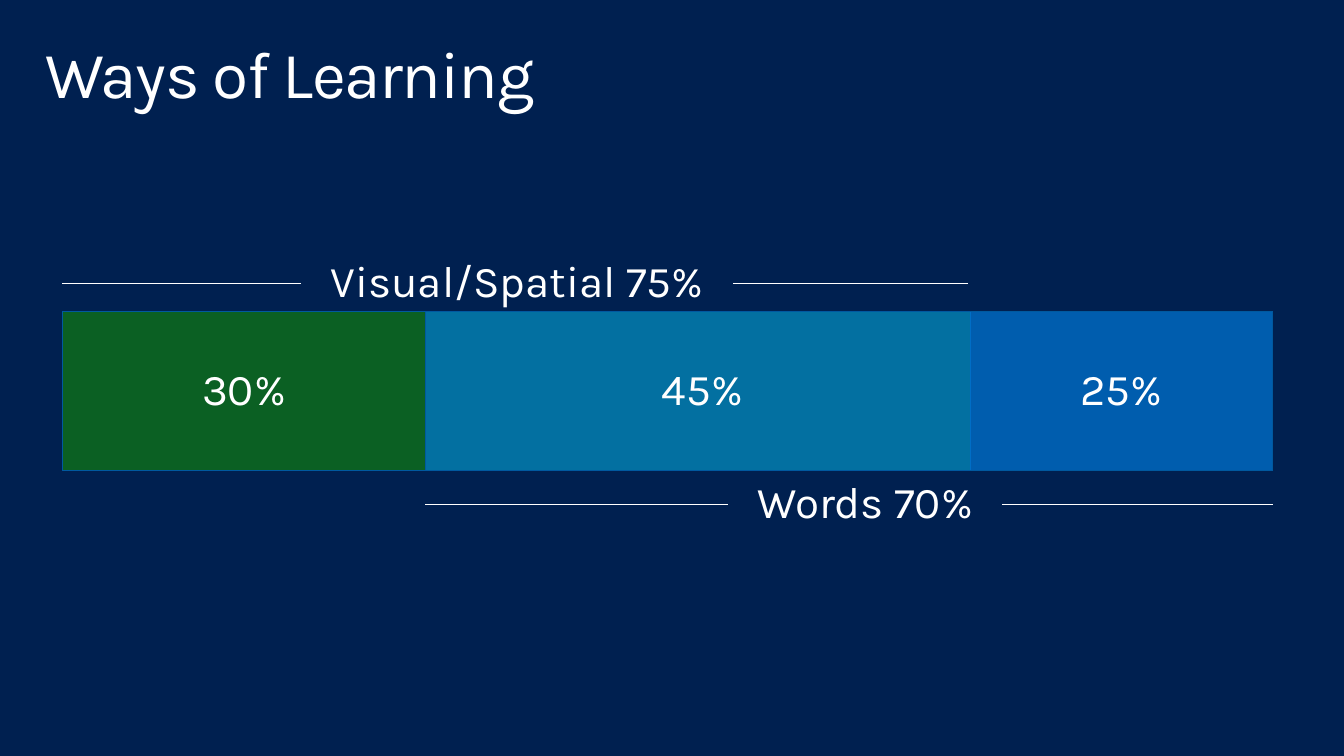
from dataclasses import dataclass

from lxml.etree import SubElement
from pptx import Presentation
from pptx.dml.color import RGBColor
from pptx.enum.shapes import MSO_CONNECTOR, MSO_SHAPE
from pptx.enum.text import MSO_ANCHOR, MSO_AUTO_SIZE, PP_ALIGN
from pptx.oxml.ns import qn
from pptx.util import Inches, Pt


@dataclass(frozen=True)
class Theme:
    font: str = "Karla"
    title_size: int = 48
    label_size: int = 32
    background: str = "002050"
    text: str = "FFFFFF"
    outline: str = "00599F"
    visual: str = "107C10"
    words: str = "0078D7"
    opacity: int = 70


THEME = Theme()
LABEL_H = 0.59


def rgb(value):
    return RGBColor.from_string(value)


def format_paragraph(p, text, size):
    p.text = text
    p.line_spacing = 0.9
    p.font.name = THEME.font
    p.font.size = Pt(size)
    p.font.color.rgb = rgb(THEME.text)


def add_title(s, text, x, y, w, h):
    sp = s.shapes.title
    sp.left, sp.top, sp.width, sp.height = map(Inches, (x, y, w, h))
    tf = sp.text_frame
    tf.auto_size = MSO_AUTO_SIZE.NONE
    tf.vertical_anchor = MSO_ANCHOR.TOP
    tf.margin_left = tf.margin_right = Inches(0.16)
    tf.margin_top = tf.margin_bottom = Inches(0.1)
    p = tf.paragraphs[0]
    format_paragraph(p, text, THEME.title_size)
    p.alignment = PP_ALIGN.LEFT
    p._p.get_or_add_pPr().get_or_add_defRPr().set("spc", "-100")


def add_label(s, text, x, y, w):
    sp = s.shapes.add_textbox(Inches(x), Inches(y), Inches(w), Inches(LABEL_H))
    tf = sp.text_frame
    tf.word_wrap = False
    tf.vertical_anchor = MSO_ANCHOR.MIDDLE
    p = tf.paragraphs[0]
    format_paragraph(p, text, THEME.label_size)
    p.alignment = PP_ALIGN.CENTER
    return sp


def add_bar(s, x, y, w, h, color=None):
    sp = s.shapes.add_shape(MSO_SHAPE.RECTANGLE, Inches(x), Inches(y), Inches(w), Inches(h))
    sp.shadow.inherit = False
    sp.line.color.rgb = rgb(THEME.outline)
    sp.line.width = Pt(0.85)
    if color is None:
        sp.fill.background()
        return
    sp.fill.solid()
    sp.fill.fore_color.rgb = rgb(color)
    clr = sp._element.spPr.find(qn("a:solidFill"))[0]
    SubElement(clr, qn("a:alpha"), val=str(THEME.opacity * 1000))


def add_span(s, text, x, end, y, label_x, label_w):
    """Label with a line running from each side to the ends of its span."""
    label = add_label(s, text, label_x, y, label_w)
    mid = Inches(y + LABEL_H / 2)
    for edge, side_x, site in ((x, label_x, 1), (end, label_x + label_w, 3)):
        line = s.shapes.add_connector(
            MSO_CONNECTOR.STRAIGHT, Inches(edge), mid, Inches(side_x), mid)
        line.end_connect(label, site)
        line.line.color.rgb = rgb(THEME.text)
        line.line.width = Pt(0.75)
        SubElement(line._element.spPr, qn("a:effectLst"))


def add_learning_bar(s, x, y, w, h):
    right = x + w
    words_x = x + 0.30 * w
    visual_end = x + 0.75 * w

    # Whole bar, then the two overlapping ways of learning
    add_bar(s, x, y, w, h)
    add_bar(s, x, y, visual_end - x, h, THEME.visual)
    add_bar(s, words_x, y, right - words_x, h, THEME.words)

    # Spans above and below the bar
    add_span(s, "Visual/Spatial 75%", x, visual_end - 0.02, y - 0.58, x + 2.42, 4.37)
    add_span(s, "Words 70%", words_x, right, y + h + 0.05, x + 6.74, 2.77)

    # Share of each segment
    share_w = 1.2
    for text, center in (("30%", 1.84), ("45%", 6.48), ("25%", 10.72)):
        add_label(s, text, x + center - share_w / 2, y + (h - LABEL_H) / 2, share_w)


def main():
    prs = Presentation()
    prs.slide_width, prs.slide_height = Inches(13.6), Inches(7.65)
    s = prs.slides.add_slide(prs.slide_layouts[5])
    s.background.fill.solid()
    s.background.fill.fore_color.rgb = rgb(THEME.background)
    add_title(s, "Ways of Learning", 0.3, 0.32, 13, 1)
    add_learning_bar(s, 0.63, 3.15, 12.25, 1.61)
    prs.save("out.pptx")


if __name__ == "__main__":
    main()
